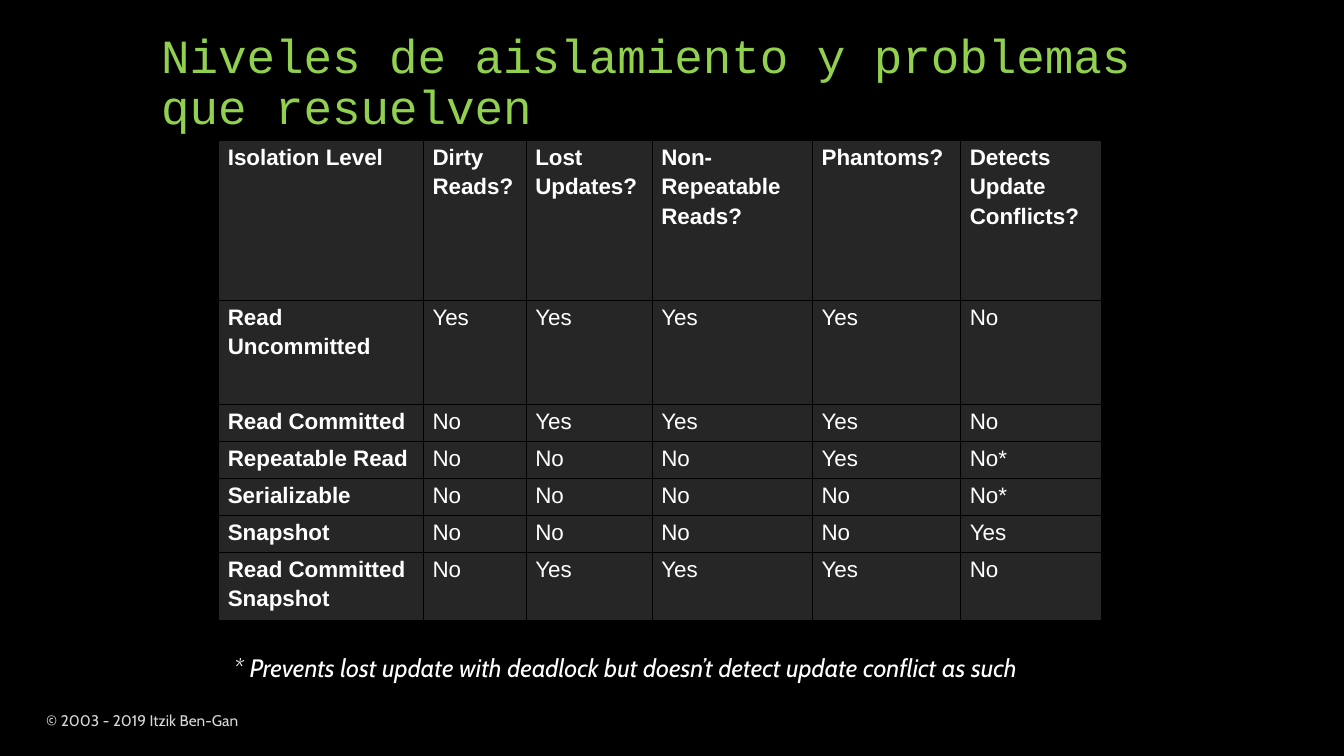
from lxml import etree
from pptx import Presentation
from pptx.dml.color import RGBColor
from pptx.enum.text import MSO_ANCHOR as ANCHOR
from pptx.oxml.ns import qn
from pptx.util import Inches, Pt

BLACK = RGBColor(0x00, 0x00, 0x00)
WHITE = RGBColor(0xFF, 0xFF, 0xFF)
GREEN = RGBColor(0x92, 0xD0, 0x50)
LIGHT_GRAY = RGBColor(0xD9, 0xD9, 0xD9)
CELL_GRAY = RGBColor(0x26, 0x26, 0x26)

COL_WIDTHS = [2.03, 1.02, 1.25, 1.59, 1.47, 1.4]
ROW_HEIGHTS = [1.59, 1.03] + [0.3] * 5
LEVELS = [
    ["Isolation Level", "Dirty\nReads?", "Lost\nUpdates?",
     "Non-\nRepeatable\nReads?", "Phantoms?", "Detects\nUpdate\nConflicts?"],
    ["Read\nUncommitted", "Yes", "Yes", "Yes", "Yes", "No"],
    ["Read Committed", "No", "Yes", "Yes", "Yes", "No"],
    ["Repeatable Read", "No", "No", "No", "Yes", "No*"],
    ["Serializable", "No", "No", "No", "No", "No*"],
    ["Snapshot", "No", "No", "No", "No", "Yes"],
    ["Read Committed\nSnapshot", "No", "Yes", "Yes", "Yes", "No"],
]


def add_run(p, text, size, font, color, bold=False, italic=False):
    r = p.add_run()
    r.text = text
    r.font.size = Pt(size)
    r.font.name = font
    r.font.color.rgb = color
    r.font.bold = bold
    r.font.italic = italic


def add_text(slide, box, text, size, font, color, anchor=ANCHOR.TOP, italic=False):
    tf = slide.shapes.add_textbox(*map(Inches, box)).text_frame
    tf.word_wrap = True
    tf.vertical_anchor = anchor
    p = tf.paragraphs[0]
    add_run(p, text, size, font, color, italic=italic)
    return p


def add_title(slide, box):
    p = add_text(slide, box, "Niveles de aislamiento y problemas que resuelven",
                 34, "Courier New", GREEN, ANCHOR.BOTTOM)
    p.line_spacing = 0.9


def add_copyright(slide, box):
    p = add_text(slide, box, "© 2003 - 2019 Itzik Ben-Gan",
                 11, "Cabin", LIGHT_GRAY, ANCHOR.MIDDLE)
    p.space_before = Pt(6)


def add_footnote(slide, box):
    add_text(slide, box,
             "* Prevents lost update with deadlock but doesn’t detect update conflict as such",
             18, "Cabin", WHITE, italic=True)


def set_hanging_indent(p):
    pPr = p._p.get_or_add_pPr()
    pPr.set("marL", str(Inches(0.31)))
    pPr.set("indent", str(Inches(-0.31)))
    before = etree.SubElement(pPr, qn("a:spcBef"))
    etree.SubElement(before, qn("a:spcPct"), val="20000")
    etree.SubElement(pPr, qn("a:buNone"))


def set_borders(cell):
    tcPr = cell._tc.get_or_add_tcPr()
    for i, side in enumerate(("lnL", "lnR", "lnT", "lnB")):
        ln = etree.Element(qn(f"a:{side}"), w=str(Pt(1)))
        fill = etree.SubElement(ln, qn("a:solidFill"))
        etree.SubElement(fill, qn("a:srgbClr"), val=str(BLACK))
        tcPr.insert(i, ln)


def fill_cell(cell, text, bold):
    cell.fill.solid()
    cell.fill.fore_color.rgb = CELL_GRAY
    cell.margin_left = cell.margin_right = Inches(0.09)
    cell.margin_top = cell.margin_bottom = Inches(0.05)
    set_borders(cell)
    tf = cell.text_frame
    for i, line in enumerate(text.split("\n")):
        p = tf.add_paragraph() if i else tf.paragraphs[0]
        set_hanging_indent(p)
        add_run(p, line, 16, "Arial", WHITE, bold)


def add_levels_table(slide, box):
    table = slide.shapes.add_table(len(LEVELS), len(COL_WIDTHS), *map(Inches, box)).table
    for col, width in zip(table.columns, COL_WIDTHS):
        col.width = Inches(width)
    for row, height in zip(table.rows, ROW_HEIGHTS):
        row.height = Inches(height)
    for i, texts in enumerate(LEVELS):
        for j, text in enumerate(texts):
            fill_cell(table.cell(i, j), text, bold=i == 0 or j == 0)


def main():
    prs = Presentation()
    prs.slide_width, prs.slide_height = Inches(13.33), Inches(7.5)
    slide = prs.slides.add_slide(prs.slide_layouts[6])
    slide.background.fill.solid()
    slide.background.fill.fore_color.rgb = BLACK
    add_title(slide, (1.5, 0.14, 10, 1.25))
    add_copyright(slide, (0.36, 6.95, 4.22, 0.4))
    add_levels_table(slide, (2.17, 1.39, sum(COL_WIDTHS), sum(ROW_HEIGHTS)))
    add_footnote(slide, (2.22, 6.42, 8.9, 0.4))
    prs.save("out.pptx")


if __name__ == "__main__":
    main()
